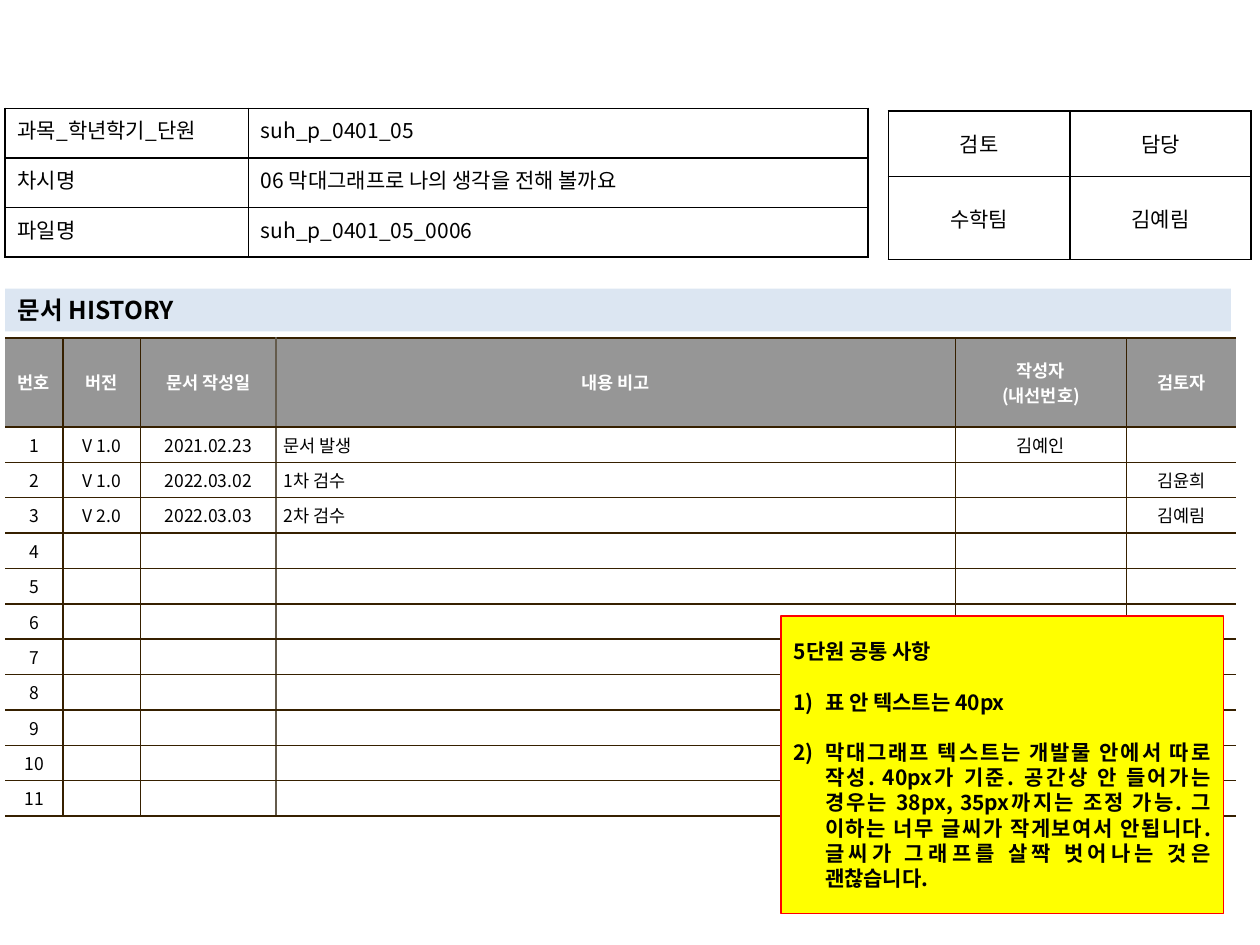
from dataclasses import dataclass

from lxml import etree
from pptx import Presentation
from pptx.dml.color import RGBColor
from pptx.enum.shapes import MSO_SHAPE
from pptx.enum.text import MSO_ANCHOR, MSO_AUTO_SIZE, PP_ALIGN
from pptx.oxml.ns import qn
from pptx.slide import Slide
from pptx.table import _Cell
from pptx.text.text import TextFrame
from pptx.util import Pt

LEFT, CENTER, JUSTIFY = PP_ALIGN.LEFT, PP_ALIGN.CENTER, PP_ALIGN.JUSTIFY
TOP, MIDDLE = MSO_ANCHOR.TOP, MSO_ANCHOR.MIDDLE
RECTANGLE = MSO_SHAPE.RECTANGLE
NO_AUTOFIT = MSO_AUTO_SIZE.NONE
TITLE_ONLY = 5


@dataclass(frozen=True)
class Theme:
    font: str = "Noto Sans CJK KR"
    ink: str = "000000"
    paper: str = "FFFFFF"
    band: str = "DCE6F2"
    header: str = "969696"
    rule: str = "362000"
    soft_rule: str = "645B4C"
    note: str = "FFFF00"
    note_line: str = "FF0000"
    heading_size: float = 14
    body_size: float = 12
    history_size: float = 10


@dataclass(frozen=True)
class Box:
    left: float
    top: float
    width: float
    height: float


@dataclass(frozen=True)
class Grid:
    """Table geometry; margins are (horizontal, vertical)."""
    left: float
    top: float
    columns: tuple[float, ...]
    rows: tuple[float, ...]
    margins: tuple[float, float]


THEME = Theme()
HEADING_BOX = Box(2.9, 164.9, 700.5, 24.5)
NOTE_BOX = Box(446.4, 352.1, 252.7, 169.9)
FILE_GRID = Grid(2.9, 61.9, (139, 354.2), (28.3,) * 3, (7.2, 3.6))
REVIEW_GRID = Grid(507.6, 63.4, (103.7,) * 2, (37.4, 47.5), (7.2, 3.6))
HISTORY_GRID = Grid(2.9, 193, (33.1, 44.3, 77.5, 388.2, 97.8, 62.4),
                    (51,) + (18,) * 11, (4.3, 2.9))

FILE_ROWS = [
    ("과목_학년학기_단원", "suh_p_0401_05"),
    ("차시명", "06 막대그래프로 나의 생각을 전해 볼까요"),
    ("파일명", "suh_p_0401_05_0006"),
]
REVIEW_ROWS = [("검토", "담당"), ("수학팀", "김예림")]
HISTORY_HEADER = ("번호", "버전", "문서 작성일", "내용 비고", "작성자\n(내선번호)", "검토자")
HISTORY_ENTRIES = [
    ("V 1.0", "2021.02.23", "문서 발생", "김예인", ""),
    ("V 1.0", "2022.03.02", "1차 검수", "", "김윤희"),
    ("V 2.0", "2022.03.03", "2차 검수", "", "김예림"),
]
HISTORY_COUNT = 11
MEMO_COLUMN = 3
NOTE_HEADING = "5단원 공통 사항"
NOTE_ITEMS = [
    "표 안 텍스트는 40px",
    "막대그래프 텍스트는 개발물 안에서 따로 작성. 40px가 기준. 공간상 안 들어가는 경우는 "
    "38px, 35px까지는 조정 가능. 그 이하는 너무 글씨가 작게보여서 안됩니다. "
    "글씨가 그래프를 살짝 벗어나는 것은 괜찮습니다.",
]
NOTE_PITCH = 14.4


def write(frame: TextFrame, text: str, *, size: float, color: str = THEME.ink,
          bold: bool = False, align: PP_ALIGN = LEFT, hanging: float = 0,
          numbered_from: int | None = None, pitch: float | None = None) -> None:
    """Fill the frame, one paragraph a line; numbering starts at the given line."""
    for index, line in enumerate(text.split("\n")):
        paragraph = frame.paragraphs[0] if index == 0 else frame.add_paragraph()
        paragraph.alignment = align
        if pitch:
            paragraph.line_spacing = Pt(pitch)
            if index:
                paragraph.space_before = Pt(pitch)
        numbered = numbered_from is not None and index >= numbered_from
        if hanging and (numbered_from is None or numbered):
            properties = paragraph._p.get_or_add_pPr()
            properties.set("marL", str(Pt(hanging)))
            properties.set("indent", str(-Pt(hanging)))
            if numbered:
                etree.SubElement(properties, qn("a:buAutoNum"), type="arabicParenR")
        if not line:
            etree.SubElement(paragraph._p, qn("a:endParaRPr"), sz=str(int(size * 100)))
            continue
        run = paragraph.add_run()
        run.text = line
        run.font.size, run.font.bold = Pt(size), bold
        run.font.color.rgb = RGBColor.from_string(color)
        run.font.name = THEME.font
        etree.SubElement(run._r.get_or_add_rPr(), qn("a:ea"), typeface=THEME.font)


def set_borders(cell: _Cell, left: str | None, right: str | None,
                top: str | None, bottom: str | None) -> None:
    """Draw 1 pt borders; None leaves a side without a line."""
    properties = cell._tc.get_or_add_tcPr()
    for position, (side, color) in enumerate(zip("LRTB", (left, right, top, bottom))):
        border = etree.Element(qn(f"a:ln{side}"), w=str(Pt(1)))
        if color:
            fill = etree.SubElement(border, qn("a:solidFill"))
            etree.SubElement(fill, qn("a:srgbClr"), val=color)
        else:
            etree.SubElement(border, qn("a:noFill"))
        properties.insert(position, border)


def add_grid(slide: Slide, grid: Grid) -> list[list[_Cell]]:
    """Add a table without style flags and return its cells by row."""
    table = slide.shapes.add_table(
        len(grid.rows), len(grid.columns), Pt(grid.left), Pt(grid.top),
        Pt(sum(grid.columns)), Pt(sum(grid.rows))).table
    table.first_row = table.horz_banding = False
    for column, width in zip(table.columns, grid.columns):
        column.width = Pt(width)
    for row, height in zip(table.rows, grid.rows):
        row.height = Pt(height)
    cells = [list(row.cells) for row in table.rows]
    for cell in sum(cells, []):
        cell.margin_left = cell.margin_right = Pt(grid.margins[0])
        cell.margin_top = cell.margin_bottom = Pt(grid.margins[1])
    return cells


def add_form(slide: Slide, grid: Grid, rows: list[tuple[str, str]],
             aligns: tuple[PP_ALIGN, PP_ALIGN], anchor: MSO_ANCHOR) -> None:
    for cells, texts in zip(add_grid(slide, grid), rows):
        for cell, text, align in zip(cells, texts, aligns):
            cell.fill.background()
            cell.vertical_anchor = anchor
            set_borders(cell, *[THEME.ink] * 4)
            write(cell.text_frame, text, size=THEME.body_size, align=align)


def add_history(slide: Slide) -> None:
    blank = ("",) * (len(HISTORY_HEADER) - 1)
    entries = HISTORY_ENTRIES + [blank] * (HISTORY_COUNT - len(HISTORY_ENTRIES))
    rows = [HISTORY_HEADER] + [(str(n), *entry) for n, entry in enumerate(entries, 1)]
    verticals = [None] + [THEME.rule] * (len(HISTORY_HEADER) - 1) + [None]
    verticals[MEMO_COLUMN] = THEME.soft_rule
    for r, (cells, texts) in enumerate(zip(add_grid(slide, HISTORY_GRID), rows)):
        is_header = r == 0
        for c, (cell, text) in enumerate(zip(cells, texts)):
            is_memo = c == MEMO_COLUMN and not is_header
            cell.fill.solid()
            cell.fill.fore_color.rgb = RGBColor.from_string(
                THEME.header if is_header else THEME.paper)
            cell.vertical_anchor = MIDDLE
            set_borders(cell, verticals[c], verticals[c + 1], THEME.rule, THEME.rule)
            write(cell.text_frame, text, size=THEME.history_size, bold=is_header,
                  color=THEME.paper if is_header else THEME.ink,
                  align=LEFT if is_memo else CENTER, hanging=14 if is_memo else 0)


def add_heading(slide: Slide, box: Box) -> None:
    heading = slide.shapes.title
    heading.left, heading.top = Pt(box.left), Pt(box.top)
    heading.width, heading.height = Pt(box.width), Pt(box.height)
    heading.fill.solid()
    heading.fill.fore_color.rgb = RGBColor.from_string(THEME.band)
    heading.text_frame.auto_size = NO_AUTOFIT
    heading.text_frame.vertical_anchor = MIDDLE
    write(heading.text_frame, "문서 HISTORY", size=THEME.heading_size, bold=True)


def add_note(slide: Slide, box: Box) -> None:
    note = slide.shapes.add_shape(RECTANGLE, Pt(box.left), Pt(box.top),
                                  Pt(box.width), Pt(box.height))
    note.shadow.inherit = False
    note.fill.solid()
    note.fill.fore_color.rgb = RGBColor.from_string(THEME.note)
    note.line.color.rgb = RGBColor.from_string(THEME.note_line)
    note.line.width = Pt(1)
    note.text_frame.word_wrap = True
    note.text_frame.vertical_anchor = MIDDLE
    write(note.text_frame, "\n".join([NOTE_HEADING, *NOTE_ITEMS]), size=THEME.body_size,
          bold=True, align=JUSTIFY, hanging=18, numbered_from=1, pitch=NOTE_PITCH)


def main() -> None:
    deck = Presentation()
    deck.slide_width, deck.slide_height = Pt(720), Pt(540)
    slide = deck.slides.add_slide(deck.slide_layouts[TITLE_ONLY])
    add_history(slide)
    add_form(slide, REVIEW_GRID, REVIEW_ROWS, (CENTER, CENTER), MIDDLE)
    add_heading(slide, HEADING_BOX)
    add_form(slide, FILE_GRID, FILE_ROWS, (JUSTIFY, LEFT), TOP)
    add_note(slide, NOTE_BOX)
    deck.save("out.pptx")


if __name__ == "__main__":
    main()
